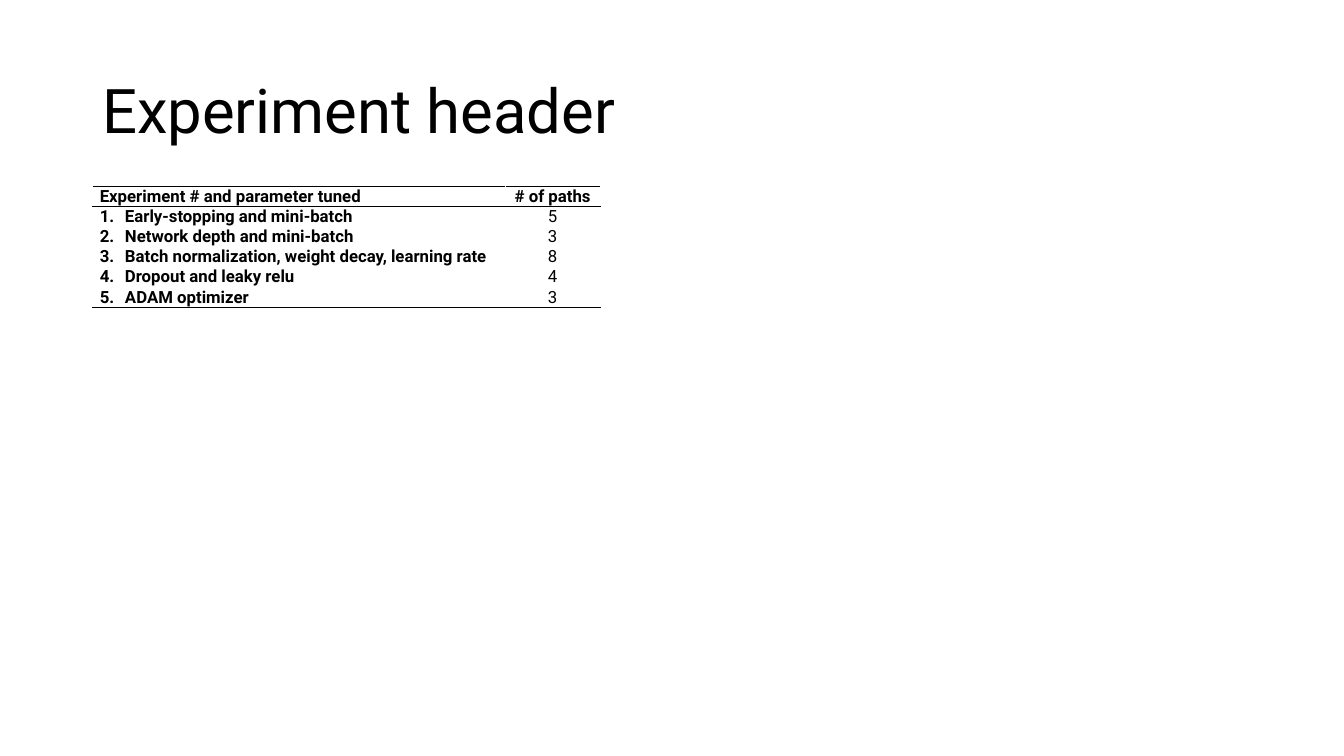
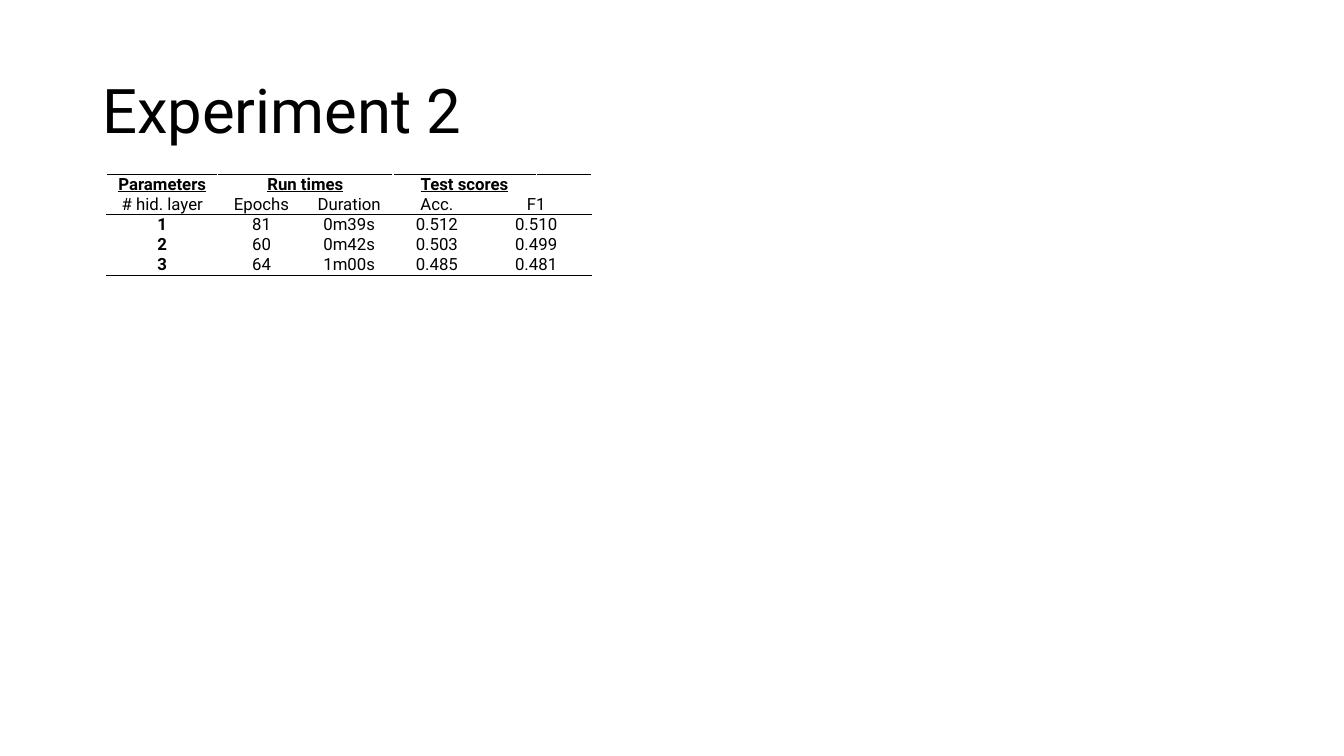
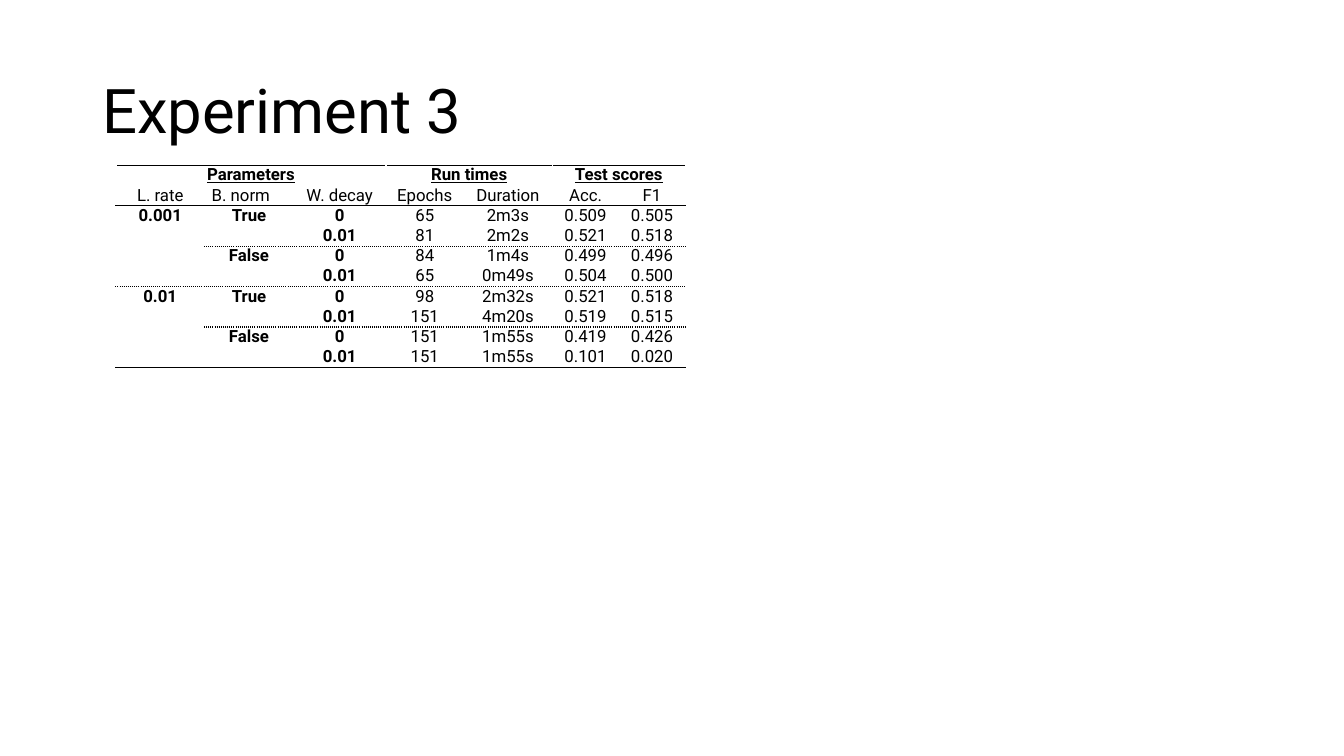
from dataclasses import dataclass
from lxml import etree
from pptx import Presentation
from pptx.dml import color
from pptx.enum import text
from pptx.oxml import ns
from pptx.util import Pt


@dataclass(frozen=True)
class Theme:
    font: str = "Roboto"
    ink: str = "000000"
    paper: str = "FFFFFF"
    head: float = 44
    body: float = 12
    row: float = 14
    pad: float = 5.04
    hang: float = 18
    rule: float = 1


@dataclass(frozen=True)
class Rule:
    row: int
    first: int = 0
    dash: str = "solid"


@dataclass(frozen=True)
class Span:
    row: int
    first: int
    last: int


@dataclass(frozen=True)
class Grid:
    title: str
    left: float
    top: float
    cols: tuple[float, ...]
    rows: tuple[tuple[str, ...], ...]
    rules: tuple[Rule, ...]
    spans: tuple[Span, ...] = ()
    heads: int = 2
    keys: int = 1
    listed: bool = False
    flush: tuple[tuple[int, int], ...] = ()


LOOK = Theme()
ALIGN = text.PP_ALIGN

GRIDS = (
    Grid(
        "Experiment header", 66.24, 133.2, (294.6, 67.9),
        (
            ("Experiment # and parameter tuned", "# of paths"),
            ("Early-stopping and mini-batch", "5"),
            ("Network depth and mini-batch", "3"),
            ("Batch normalization, weight decay, learning rate", "8"),
            ("Dropout and leaky relu", "4"),
            ("ADAM optimizer", "3"),
        ),
        (Rule(0), Rule(1), Rule(6)),
        heads=1, listed=True,
    ),
    Grid(
        "Experiment 2", 76.32, 124.56,
        (79.2, 62.64, 62.64, 62.64, 39.6, 39.6),
        (
            ("Parameters", "Run times", "", "Test scores", "", ""),
            ("# hid. layer", "Epochs", "Duration", "Acc.", "F1", ""),
            ("1", "81", "0m39s", "0.512", "0.510", ""),
            ("2", "60", "0m42s", "0.503", "0.499", ""),
            ("3", "64", "1m00s", "0.485", "0.481", ""),
        ),
        (Rule(0), Rule(2), Rule(5)),
        (Span(0, 1, 2), Span(0, 3, 4), *(Span(r, 4, 5) for r in range(1, 5))),
    ),
    Grid(
        "Experiment 3", 82.8, 118.08,
        (63.4, 63.4, 66.2, 55.4, 63.4, 47.5, 47.5),
        (
            ("Parameters", "", "", "Run times", "", "Test scores", ""),
            ("L. rate", "B. norm", "W. decay", "Epochs", "Duration", "Acc.", "F1"),
            ("0.001", "True", "0", "65", "2m3s", "0.509", "0.505"),
            ("", "", "0.01", "81", "2m2s", "0.521", "0.518"),
            ("", "False", "0", "84", "1m4s", "0.499", "0.496"),
            ("", "", "0.01", "65", "0m49s", "0.504", "0.500"),
            ("0.01", "True", "0", "98", "2m32s", "0.521", "0.518"),
            ("", "", "0.01", "151", "4m20s", "0.519", "0.515"),
            ("", "False", "0", "151", "1m55s", "0.419", "0.426"),
            ("", "", "0.01", "151", "1m55s", "0.101", "0.020"),
        ),
        (
            Rule(0), Rule(2), Rule(4, 1, "sysDot"), Rule(6, 0, "sysDot"),
            Rule(8, 1, "sysDot"), Rule(10),
        ),
        (Span(0, 0, 2), Span(0, 3, 4), Span(0, 5, 6)),
        keys=3, flush=((1, 1),),
    ),
)


def write(para, words: str, size: float, bold: bool = False, under: bool = False) -> None:
    run = para.add_run()
    run.text = words
    font = run.font
    font.name, font.size, font.bold, font.underline = LOOK.font, Pt(size), bold, under
    font.color.rgb = color.RGBColor.from_string(LOOK.ink)


def add_head(slide, words: str) -> None:
    frame = slide.shapes.add_textbox(Pt(66), Pt(28.75), Pt(828), Pt(104.4)).text_frame
    frame.word_wrap = True
    frame.vertical_anchor = text.MSO_ANCHOR.MIDDLE
    para = frame.paragraphs[0]
    para.line_spacing = 0.9
    write(para, words, LOOK.head)


def edge(cell, side: str, rule: Rule | None) -> None:
    line = etree.SubElement(
        cell._tc.get_or_add_tcPr(), ns.qn(f"a:ln{side}"), w=str(Pt(LOOK.rule))
    )
    fill = etree.SubElement(line, ns.qn("a:solidFill"))
    etree.SubElement(fill, ns.qn("a:srgbClr"), val=LOOK.ink if rule else LOOK.paper)
    etree.SubElement(line, ns.qn("a:prstDash"), val=rule.dash if rule else "solid")


def find(grid: Grid, row: int, col: int) -> Rule | None:
    return next((r for r in grid.rules if r.row == row and col >= r.first), None)


def number(para, start: int) -> None:
    props = para._p.get_or_add_pPr()
    props.set("marL", str(Pt(LOOK.hang)))
    props.set("indent", str(-Pt(LOOK.hang)))
    etree.SubElement(
        props, ns.qn("a:buAutoNum"), type="arabicPeriod", startAt=str(start)
    )


def fill_cell(cell, grid: Grid, row: int, col: int) -> None:
    cell.margin_left = cell.margin_right = Pt(LOOK.pad)
    cell.margin_top = cell.margin_bottom = 0
    for side, rule in (
        ("L", None), ("R", None),
        ("T", find(grid, row, col)), ("B", find(grid, row + 1, col)),
    ):
        edge(cell, side, rule)
    cell.fill.background()

    para = cell.text_frame.paragraphs[0]
    words = grid.rows[row][col]
    if not words:
        etree.SubElement(para._p, ns.qn("a:endParaRPr"), sz=str(LOOK.body * 100))
        return
    left = grid.listed and col == 0
    para.alignment = ALIGN.LEFT if left else ALIGN.CENTER
    if (row, col) in grid.flush:
        para.alignment = ALIGN.JUSTIFY
    if left and row >= grid.heads:
        number(para, row - grid.heads + 1)
    bold = row == 0 or (row >= grid.heads and col < grid.keys)
    write(para, words, LOOK.body, bold, row == 0 and grid.heads > 1)


def add_grid(slide, grid: Grid) -> None:
    count = len(grid.rows)
    table = slide.shapes.add_table(
        count, len(grid.cols), Pt(grid.left), Pt(grid.top),
        Pt(sum(grid.cols)), Pt(count * LOOK.row),
    ).table
    table.first_row = table.horz_banding = False
    for col, width in enumerate(grid.cols):
        table.columns[col].width = Pt(width)
        for row in range(count):
            fill_cell(table.cell(row, col), grid, row, col)
    for span in grid.spans:
        table.cell(span.row, span.first).merge(table.cell(span.row, span.last))


def main() -> None:
    deck = Presentation()
    deck.slide_width, deck.slide_height = Pt(960), Pt(540)
    for grid in GRIDS:
        slide = deck.slides.add_slide(deck.slide_layouts[6])
        add_head(slide, grid.title)
        add_grid(slide, grid)
    deck.save("out.pptx")


if __name__ == "__main__":
    main()
